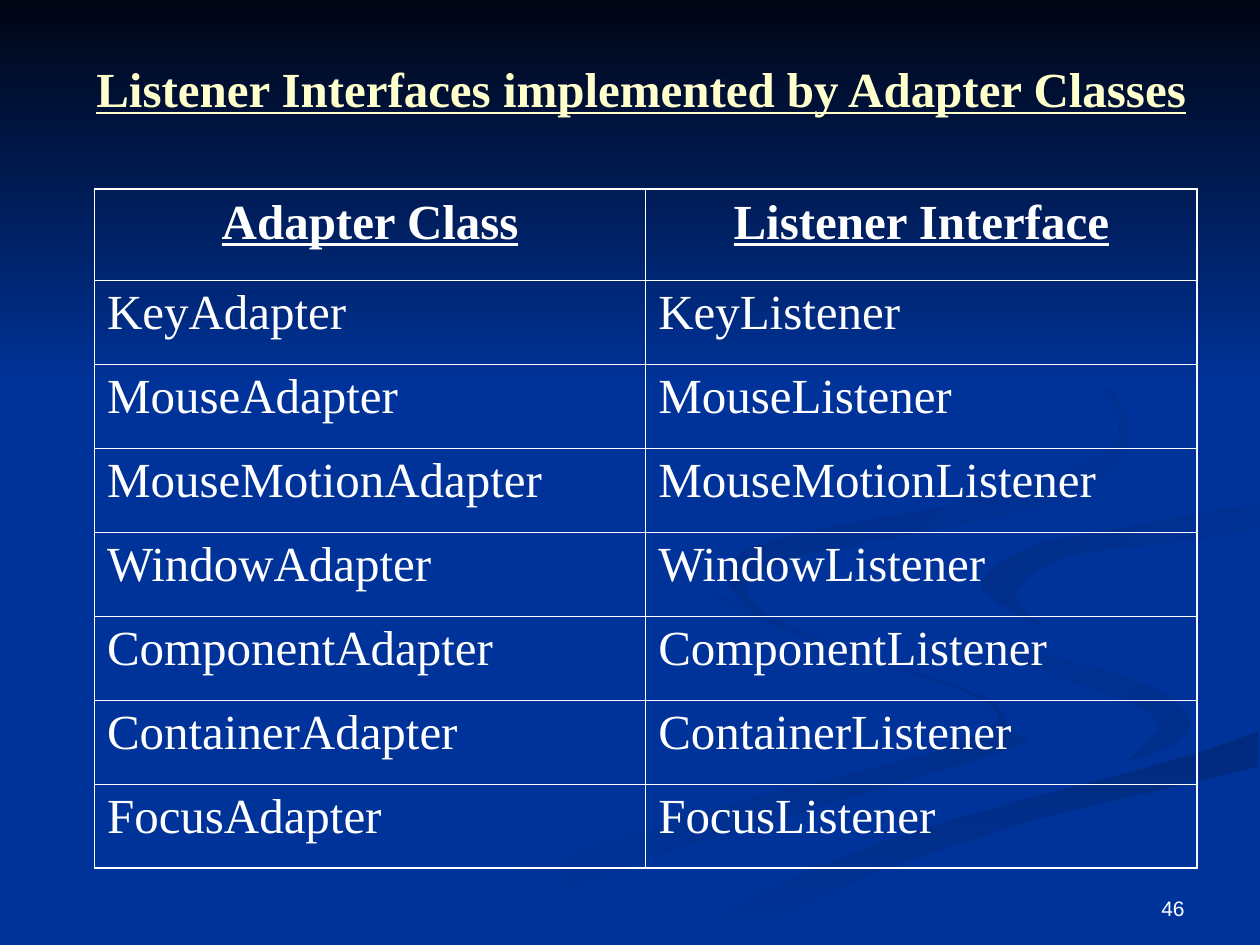
from dataclasses import dataclass
from typing import Optional

import pptx
import pptx.dml.color
import pptx.enum.text
import pptx.oxml.ns
import pptx.util
from lxml import etree

Pt = pptx.util.Pt
ALIGN = pptx.enum.text.PP_ALIGN
ANCHOR = pptx.enum.text.MSO_ANCHOR

COLORS = {
    "background": "003399",
    "swirl_left": "002E8B",
    "swirl_tail": "002A7D",
    "swirl_bend": "002D86",
    "swirl_top": "002B82",
    "night": "000514",
    "text": "FFFFFF",
    "title": "FFFFCC",
}
SERIF, SANS = "Times New Roman", "Arial"
WIDTH, HEIGHT = 720, 540
THICK, THIN = 1.08, 0.45
CURVE_STEPS = 5

HEADER = ("Adapter Class", "Listener Interface")
EVENTS = ("Key", "Mouse", "MouseMotion", "Window", "Component", "Container", "Focus")
ROWS = [HEADER] + [(f"{event}Adapter", f"{event}Listener") for event in EVENTS]

Point = tuple[float, float]


@dataclass
class Outline:
    points: list[Point]
    start: str
    end: Optional[str] = None  # no end colour means a solid fill
    angle: int = 0  # clockwise degrees
    curved: bool = True


OUTLINES = [
    # Lower left ribbon
    Outline([(562, 398), (491, 374), (420, 343), (412, 343), (471, 369), (562, 400),
             (552, 423), (417, 460), (300, 497), (216, 539), (260, 539), (359, 495),
             (570, 430), (576, 418)], "background", "swirl_left"),
    # Middle bend
    Outline([(679, 410), (651, 389), (557, 362), (521, 334), (537, 360), (603, 386),
             (653, 405), (661, 418), (644, 436), (671, 425)],
            "background", "swirl_left", 45),
    # Lower right tail
    Outline([(362, 539), (411, 539), (500, 498), (591, 468), (719, 438), (719, 418),
             (550, 466), (454, 499)], "swirl_tail", "background", 90, curved=False),
    # Wide ribbon in the background colour
    Outline([(522, 334), (546, 358), (640, 385), (679, 410), (656, 432), (535, 463),
             (413, 506), (343, 539), (374, 538), (501, 482), (719, 418), (719, 387),
             (611, 362), (562, 333), (592, 312), (719, 289), (719, 279), (567, 304),
             (527, 321)], "background"),
    # Right bend
    Outline([(562, 331), (570, 344), (595, 357), (580, 340), (607, 319), (674, 309),
             (719, 302), (719, 289), (647, 301), (591, 312)],
            "swirl_bend", "background", 45),
    # Upper curl
    Outline([(492, 310), (594, 289), (640, 261), (641, 233), (607, 198), (549, 168),
             (609, 201), (640, 241), (620, 266), (549, 287), (436, 311), (416, 333),
             (448, 360), (427, 338), (449, 320)], "swirl_top", "background", 45),
    # Dark sky at the top
    Outline([(0, 0), (0, 222), (WIDTH, 222), (WIDTH, 0)],
            "night", "background", 90, curved=False),
]


def color(name: str) -> pptx.dml.color.RGBColor:
    return pptx.dml.color.RGBColor.from_string(COLORS[name])


def smooth(points: list[Point]) -> list[Point]:
    """Run a closed Catmull-Rom curve through the points, kept on the slide."""
    count, curve = len(points), []
    for index in range(count):
        corners = [points[(index + offset) % count] for offset in (-1, 0, 1, 2)]
        for step in range(CURVE_STEPS):
            t = step / CURVE_STEPS
            x, y = (
                b + t * (c - a + t * (2 * a - 5 * b + 4 * c - d
                                      + t * (3 * b - 3 * c + d - a))) / 2
                for a, b, c, d in zip(*corners))
            curve.append((min(x, WIDTH), min(y, HEIGHT)))
    return curve


def draw_outline(slide, outline: Outline) -> None:
    first, *rest = smooth(outline.points) if outline.curved else outline.points
    builder = slide.shapes.build_freeform(*first, scale=Pt(1))
    builder.add_line_segments(rest, close=True)
    shape = builder.convert_to_shape()
    shape.shadow.inherit = False
    shape.line.fill.background()
    if outline.end is None:
        shape.fill.solid()
        shape.fill.fore_color.rgb = color(outline.start)
        return
    shape.fill.gradient()
    shape.fill.gradient_angle = -outline.angle % 360
    for stop, name in zip(shape.fill.gradient_stops, (outline.start, outline.end)):
        stop.color.rgb = color(name)


def write_text(frame, text: str, *, size: float = 28, font: str = SERIF, ink: str = "text",
               strong: bool = False, align=ALIGN.LEFT, before: float = 0) -> None:
    paragraph = frame.paragraphs[0]
    paragraph.alignment = align
    paragraph.space_before = Pt(before)
    run = paragraph.add_run()
    run.text = text
    run.font.size = Pt(size)
    run.font.name = font
    run.font.bold = run.font.underline = strong
    run.font.color.rgb = color(ink)


def add_text_frame(slide, left: float, top: float, width: float, height: float, anchor):
    box = slide.shapes.add_textbox(Pt(left), Pt(top), Pt(width), Pt(height))
    box.text_frame.word_wrap = True
    box.text_frame.vertical_anchor = anchor
    return box.text_frame


def set_borders(cell, widths: dict[str, float]) -> None:
    qn = pptx.oxml.ns.qn
    properties = cell._tc.get_or_add_tcPr()
    for index, (side, width) in enumerate(widths.items()):
        line = etree.Element(qn(f"a:ln{side}"), w=str(int(Pt(width))))
        fill = etree.SubElement(line, qn("a:solidFill"))
        etree.SubElement(fill, qn("a:srgbClr"), val=COLORS["text"])
        properties.insert(index, line)


def draw_table(slide, rows: list[tuple[str, str]]) -> None:
    last_row, last_column = len(rows) - 1, len(rows[0]) - 1
    table = slide.shapes.add_table(
        len(rows), len(rows[0]), Pt(54), Pt(108), Pt(630), Pt(388)).table
    table.first_row = table.horz_banding = False
    for column in table.columns:
        column.width = Pt(315)
    for row_index, texts in enumerate(rows):
        header = row_index == 0
        table.rows[row_index].height = Pt(52 if header else 48)
        for column_index, text in enumerate(texts):
            cell = table.cell(row_index, column_index)
            cell.fill.background()
            set_borders(cell, {
                "L": THICK if column_index == 0 else THIN,
                "R": THICK if column_index == last_column else THIN,
                "T": THICK if header else THIN,
                "B": THICK if row_index == last_row else THIN,
            })
            write_text(cell.text_frame, text, strong=header, before=7,
                       align=ALIGN.CENTER if header else ALIGN.LEFT)


def main() -> None:
    presentation = pptx.Presentation()
    presentation.slide_width, presentation.slide_height = Pt(WIDTH), Pt(HEIGHT)
    slide = presentation.slides.add_slide(presentation.slide_layouts[6])

    # Backdrop
    slide.background.fill.solid()
    slide.background.fill.fore_color.rgb = color("background")
    for outline in OUTLINES:
        draw_outline(slide, outline)

    # Slide number
    number = add_text_frame(slide, 516, 492, 168, 37.5, ANCHOR.BOTTOM)
    write_text(number, "46", size=12, font=SANS, align=ALIGN.RIGHT)

    # Adapter classes and their interfaces
    draw_table(slide, ROWS)

    # Title
    title = add_text_frame(slide, 48, 30, 648, 41, ANCHOR.TOP)
    title.auto_size = pptx.enum.text.MSO_AUTO_SIZE.SHAPE_TO_FIT_TEXT
    write_text(title, "Listener Interfaces implemented by Adapter Classes",
               ink="title", strong=True, before=17.5)

    presentation.save("out.pptx")


if __name__ == "__main__":
    main()
